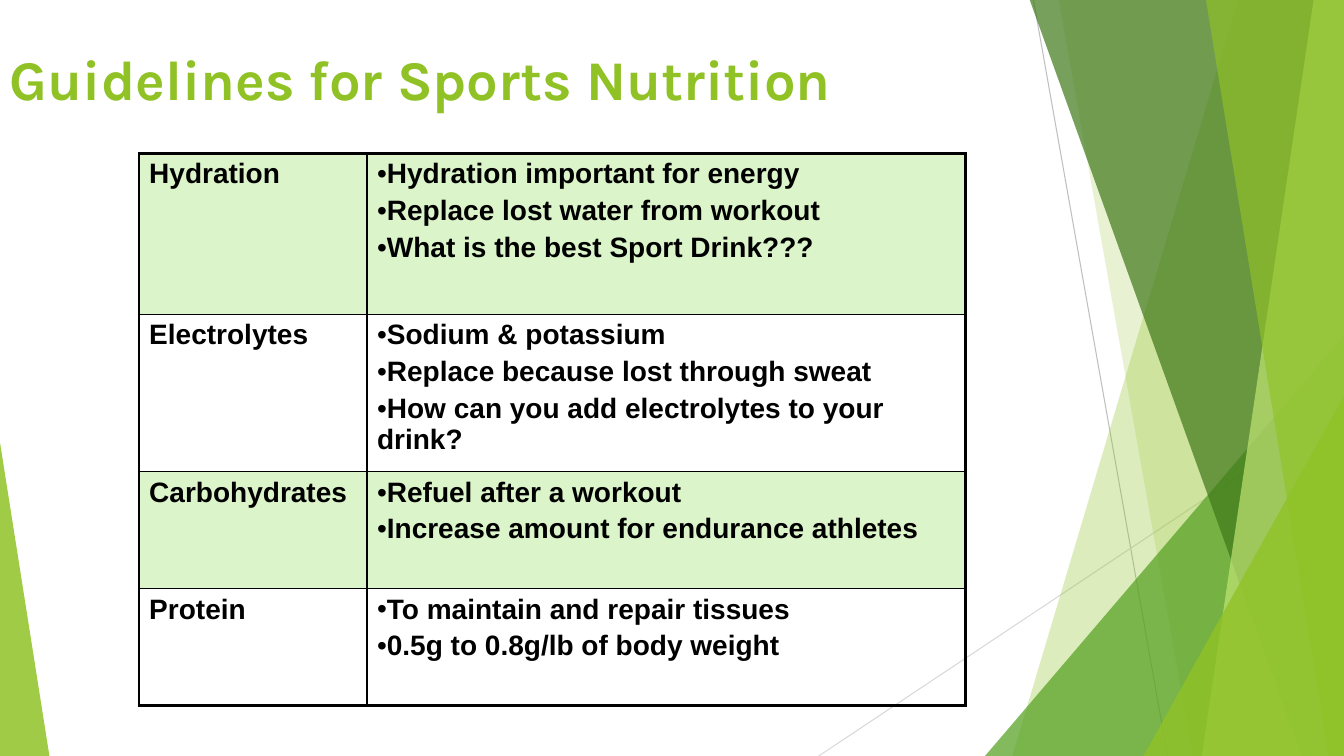
from lxml import etree
from pptx import Presentation
from pptx import util as u
from pptx.dml.color import RGBColor
from pptx.enum import shapes, text
from pptx.oxml.ns import qn

LIME = RGBColor(0x90, 0xC2, 0x26)
GREEN = RGBColor(0x54, 0xA0, 0x21)
DARK_GREEN = RGBColor(0x3F, 0x78, 0x19)
PALE_LIME = RGBColor(0xC0, 0xE4, 0x74)
ROW_GREEN = RGBColor(0xDB, 0xF4, 0xCA)
GREY = RGBColor(0xBF, 0xBF, 0xBF)
LIGHT_GREY = RGBColor(0xD9, 0xD9, 0xD9)
BLACK = RGBColor(0, 0, 0)

WIDTH, HEIGHT, BAND_TOP = 13.33, 7.5, -0.01
THICK, THIN = 2.25, 1
TABLE_FONT = "Arial"
COLUMN_WIDTHS = (2.26, 5.94)
GUIDELINES = [
    ("Hydration", 1.6, ["Hydration important for energy",
                        "Replace lost water from workout",
                        "What is the best Sport Drink???"]),
    ("Electrolytes", 1.56, ["Sodium & potassium",
                            "Replace because lost through sweat",
                            "How can you add electrolytes to your drink?"]),
    ("Carbohydrates", 1.16, ["Refuel after a workout",
                             "Increase amount for endurance athletes"]),
    ("Protein", 1.16, ["To maintain and repair tissues",
                       "0.5g to 0.8g/lb of body weight"]),
]


def add_line(slide, start, end, color):
    """Draw a thin straight line without a shadow."""
    line = slide.shapes.add_connector(
        shapes.MSO_CONNECTOR.STRAIGHT, *map(u.Inches, start + end))
    line.line.color.rgb = color
    line.line.width = u.Pt(0.75)
    etree.SubElement(line.element.spPr, qn("a:effectLst"))


def paint(shape, color, opacity):
    """Give a shape a translucent fill, no outline and no shadow."""
    shape.shadow.inherit = False
    shape.line.fill.background()
    shape.fill.solid()
    shape.fill.fore_color.rgb = color
    rgb = shape.element.spPr.find(qn("a:solidFill")).find(qn("a:srgbClr"))
    etree.SubElement(rgb, qn("a:alpha"), val=str(opacity * 1000))


def add_band(slide, top_x, bottom_x, color, opacity):
    """Draw a slanted band that reaches the right edge of the slide."""
    builder = slide.shapes.build_freeform(
        u.Inches(top_x), u.Inches(BAND_TOP))
    corners = [(WIDTH, BAND_TOP), (WIDTH, HEIGHT), (bottom_x, HEIGHT)]
    builder.add_line_segments(
        [(u.Inches(x), u.Inches(y)) for x, y in corners], close=True)
    paint(builder.convert_to_shape(), color, opacity)


def add_triangle(slide, left, top, width, apex, color, opacity):
    """Draw a triangle standing on the bottom edge of the slide."""
    triangle = slide.shapes.add_shape(
        shapes.MSO_SHAPE.ISOSCELES_TRIANGLE,
        *map(u.Inches, (left, top, width, HEIGHT - top)))
    triangle.adjustments[0] = apex
    paint(triangle, color, opacity)


def add_decoration(slide):
    """Draw the green facets at both sides of the slide."""
    add_line(slide, (10.25, 0), (11.58, HEIGHT), GREY)
    add_line(slide, (WIDTH, 4.03), (8.12, HEIGHT), LIGHT_GREY)
    add_band(slide, 12.28, 10.04, LIME, 30)
    add_band(slide, 10.5, 11.83, LIME, 20)
    add_triangle(slide, 9.77, 3.33, 3.56, 1, GREEN, 72)
    add_band(slide, 10.21, 12.91, DARK_GREEN, 70)
    add_band(slide, 13.03, 11.92, PALE_LIME, 70)
    add_band(slide, 11.96, 13.18, LIME, 65)
    add_triangle(slide, 11.34, 3.93, 1.99, 1, LIME, 80)
    add_triangle(slide, 0, 4.39, 0.49, 0, LIME, 85)


def format_runs(paragraph, font_name, size, color):
    """Set the bold font of every run in a paragraph."""
    for run in paragraph.runs:
        run.font.name = font_name
        run.font.size = u.Pt(size)
        run.font.bold = True
        run.font.color.rgb = color


def add_title(slide, title):
    """Add the slide title."""
    box = slide.shapes.add_textbox(*map(u.Inches, (0, 0.37, 8.5, 0.8)))
    frame = box.text_frame
    frame.word_wrap = True
    frame.vertical_anchor = text.MSO_ANCHOR.MIDDLE
    frame.text = title
    format_runs(frame.paragraphs[0], "Karla", 40, LIME)


def set_borders(cell, widths):
    """Draw black cell borders; widths maps each side to points."""
    properties = cell._tc.get_or_add_tcPr()
    for side, width in widths.items():
        border = etree.SubElement(
            properties, qn(f"a:ln{side}"), w=str(u.Pt(width)))
        fill = etree.SubElement(border, qn("a:solidFill"))
        etree.SubElement(fill, qn("a:srgbClr"), val=str(BLACK))


def add_bullet(paragraph):
    """Put a round bullet right before the text of a paragraph."""
    properties = paragraph._p.get_or_add_pPr()
    etree.SubElement(properties, qn("a:buFont"), typeface=TABLE_FONT)
    etree.SubElement(properties, qn("a:buChar"), char="•")


def fill_cell(cell, lines, bulleted):
    """Write one paragraph per line, with bullets if wanted."""
    cell.text_frame.text = "\n".join(lines)
    for index, paragraph in enumerate(cell.text_frame.paragraphs):
        paragraph.space_before = u.Pt(4 if index else 0)
        format_runs(paragraph, TABLE_FONT, 20, BLACK)
        if bulleted:
            add_bullet(paragraph)


def add_guidelines_table(slide):
    """Add the table of nutrients and their guidelines."""
    table = slide.shapes.add_table(
        len(GUIDELINES), len(COLUMN_WIDTHS),
        *map(u.Inches, (1.38, 1.52, 8.2, 5.48))).table
    table.first_row = table.horz_banding = False
    for column, width in zip(table.columns, COLUMN_WIDTHS):
        column.width = u.Inches(width)
    last_row = len(GUIDELINES) - 1
    for row, (nutrient, height, advice) in enumerate(GUIDELINES):
        table.rows[row].height = u.Inches(height)
        for column, lines in enumerate(([nutrient], advice)):
            cell = table.cell(row, column)
            fill_cell(cell, lines, bulleted=column == 1)
            set_borders(cell, {"L": THIN if column else THICK,
                               "R": THICK if column else THIN,
                               "T": THIN if row else THICK,
                               "B": THICK if row == last_row else THIN})
            if row % 2 == 0:
                cell.fill.solid()
                cell.fill.fore_color.rgb = ROW_GREEN
            else:
                cell.fill.background()


def main():
    """Build and save the slide."""
    presentation = Presentation()
    presentation.slide_width = u.Inches(WIDTH)
    presentation.slide_height = u.Inches(HEIGHT)
    slide = presentation.slides.add_slide(presentation.slide_layouts[6])
    add_decoration(slide)
    add_title(slide, "Guidelines for Sports Nutrition")
    add_guidelines_table(slide)
    presentation.save("out.pptx")


main()
